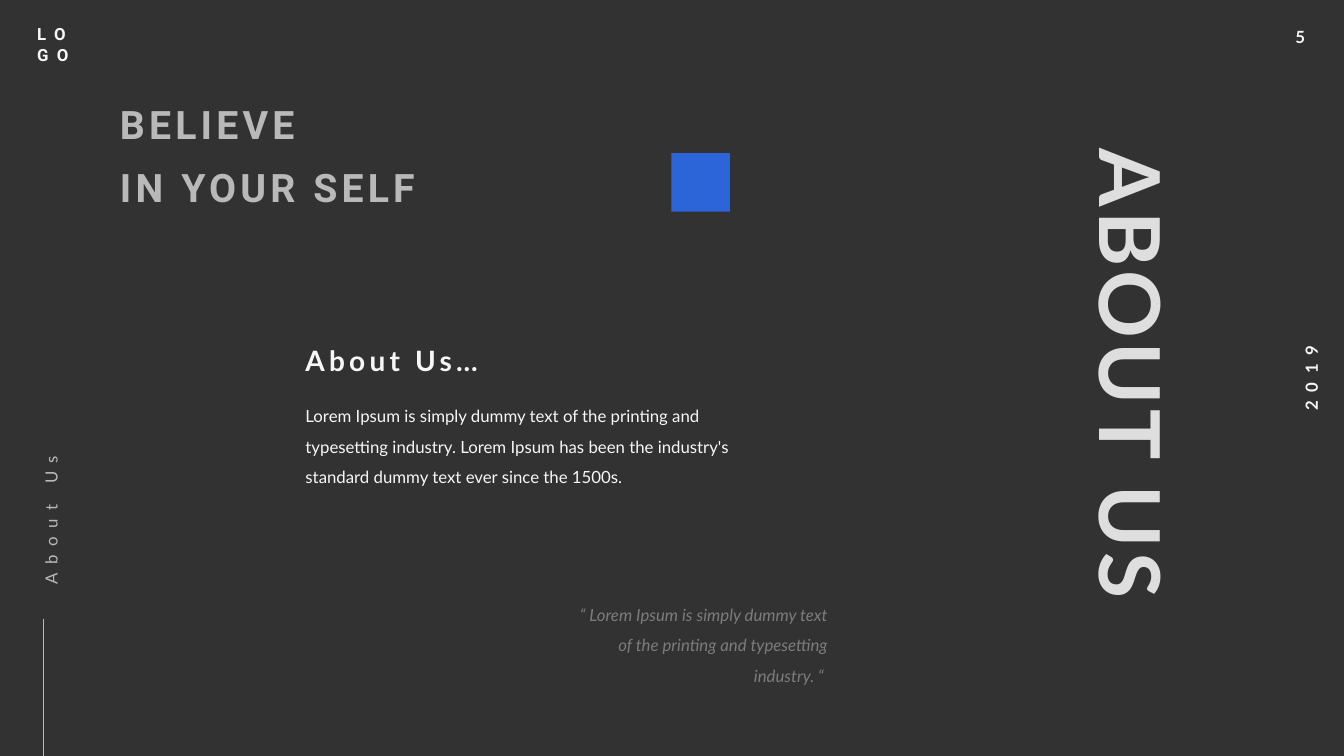
import pptx
import pptx.dml.color
import pptx.enum.shapes
import pptx.enum.text
import pptx.util
from lxml import etree

RGBColor = pptx.dml.color.RGBColor
Inches = pptx.util.Inches
Pt = pptx.util.Pt
ALIGN = pptx.enum.text.PP_ALIGN

DARK = RGBColor(0x32, 0x32, 0x32)
WHITE = RGBColor(0xF7, 0xF7, 0xF7)
PALE = RGBColor(0xDE, 0xDE, 0xDE)
SILVER = RGBColor(0xB9, 0xB9, 0xB9)
GREY = RGBColor(0x7C, 0x7C, 0x7C)
BLUE = RGBColor(0x2C, 0x65, 0xD8)
DRAWING_NS = "http://schemas.openxmlformats.org/drawingml/2006/main"


def add_text(s, box, lines, size, color, font="Lato", bold=False, italic=False,
             tracking=0, align=ALIGN.LEFT, spacing=None, rotation=0,
             flush=True, wrap=True):
    """Flush boxes have no left or vertical inset and 12 pt before paragraphs."""
    sp = s.shapes.add_textbox(*map(Inches, box))
    sp.rotation = rotation
    tf = sp.text_frame
    tf.text = "\n".join(lines)
    tf.word_wrap = wrap
    tf.auto_size = pptx.enum.text.MSO_AUTO_SIZE.SHAPE_TO_FIT_TEXT
    if flush:
        tf.margin_left = tf.margin_top = tf.margin_bottom = 0
    for p in tf.paragraphs:
        p.alignment = align
        if spacing:
            p.line_spacing = spacing
        if flush:
            p.space_before = Pt(12)
        for r in p.runs:
            r.font.name = font
            r.font.size = Pt(size)
            r.font.bold = bold
            r.font.italic = italic
            r.font.color.rgb = color
            if tracking:
                r.font._element.set("spc", str(tracking * 100))


def add_slogan(s, x, y, w, h):
    add_text(s, (x, y, w, h), ["BELIEVE", "IN YOUR SELF"], 28, SILVER,
             font="Roboto", bold=True, tracking=3)


def add_accent(s, x, y, side):
    sp = s.shapes.add_shape(pptx.enum.shapes.MSO_SHAPE.RECTANGLE,
                            *map(Inches, (x, y, side, side)))
    sp.shadow.inherit = False
    sp.fill.solid()
    sp.fill.fore_color.rgb = BLUE
    sp.line.fill.background()


def add_about(s, x, y, w, h):
    # Heading above the body text
    add_text(s, (x, y, 2.6, 0.34), ["About Us…"], 20, WHITE,
             bold=True, tracking=3)
    add_text(s, (x, y + 0.52, w, h - 0.52),
             ["Lorem Ipsum is simply dummy text of the printing and typesetting "
              "industry. Lorem Ipsum has been the industry's standard dummy text "
              "ever since the 1500s."], 12, WHITE, spacing=1.5)


def add_quote(s, x, y, w, h):
    add_text(s, (x, y, w, h),
             ["“ Lorem Ipsum is simply dummy text of the printing and "
              "typesetting industry. “ "], 12, GREY,
             italic=True, align=ALIGN.RIGHT, spacing=1.5)


def add_vertical_title(s, x, y, w, h):
    add_text(s, (x, y, w, h), ["ABOUT US"], 60, PALE, bold=True, tracking=3,
             align=ALIGN.CENTER, rotation=90)


def add_side_label(s, x, y, h):
    # Rotated section name, then a rule down to the slide edge
    add_text(s, (x - 0.92, y + 0.79, 1.85, 0.26), ["About Us"], 12, SILVER,
             tracking=6, spacing=1.5, rotation=270)
    rule = s.shapes.add_connector(pptx.enum.shapes.MSO_CONNECTOR.STRAIGHT,
                                  *map(Inches, (x, y + h, x, y + 2.19)))
    rule.line.color.rgb = SILVER
    rule.line.width = Pt(0.5)
    etree.SubElement(rule._element.spPr, "{%s}effectLst" % DRAWING_NS)


def add_frame(s, x, y, w):
    # Monogram, page number and year around the margins
    label = dict(size=12, color=WHITE, bold=True, flush=False)
    add_text(s, (x + 0.27, y + 0.19, 0.59, 0.5), ["LO", "GO"],
             font="Roboto", tracking=6, **label)
    add_text(s, (x + w - 0.58, y + 0.22, 0.3, 0.3), ["5"], wrap=False, **label)
    add_text(s, (x + w - 0.79, y + 3.6, 0.93, 0.3), ["2019"], tracking=6,
             align=ALIGN.CENTER, rotation=270, wrap=False, **label)


def build_about_slide(prs):
    s = prs.slides.add_slide(prs.slide_layouts[6])
    s.background.fill.solid()
    s.background.fill.fore_color.rgb = DARK
    add_about(s, 3.03, 3.41, 4.78, 1.39)
    add_vertical_title(s, 7.55, 3.25, 7.37, 1.01)
    add_side_label(s, 0.43, 3.95, 3.55)
    add_slogan(s, 1.19, 0.99, 3.68, 1.11)
    add_quote(s, 5.75, 5.9, 2.56, 0.87)
    add_accent(s, 6.66, 1.52, 0.58)
    add_frame(s, 0, 0, 13.33)


def main():
    prs = pptx.Presentation()
    prs.slide_width = Inches(13.33)
    prs.slide_height = Inches(7.5)
    build_about_slide(prs)
    prs.save("out.pptx")


if __name__ == "__main__":
    main()
